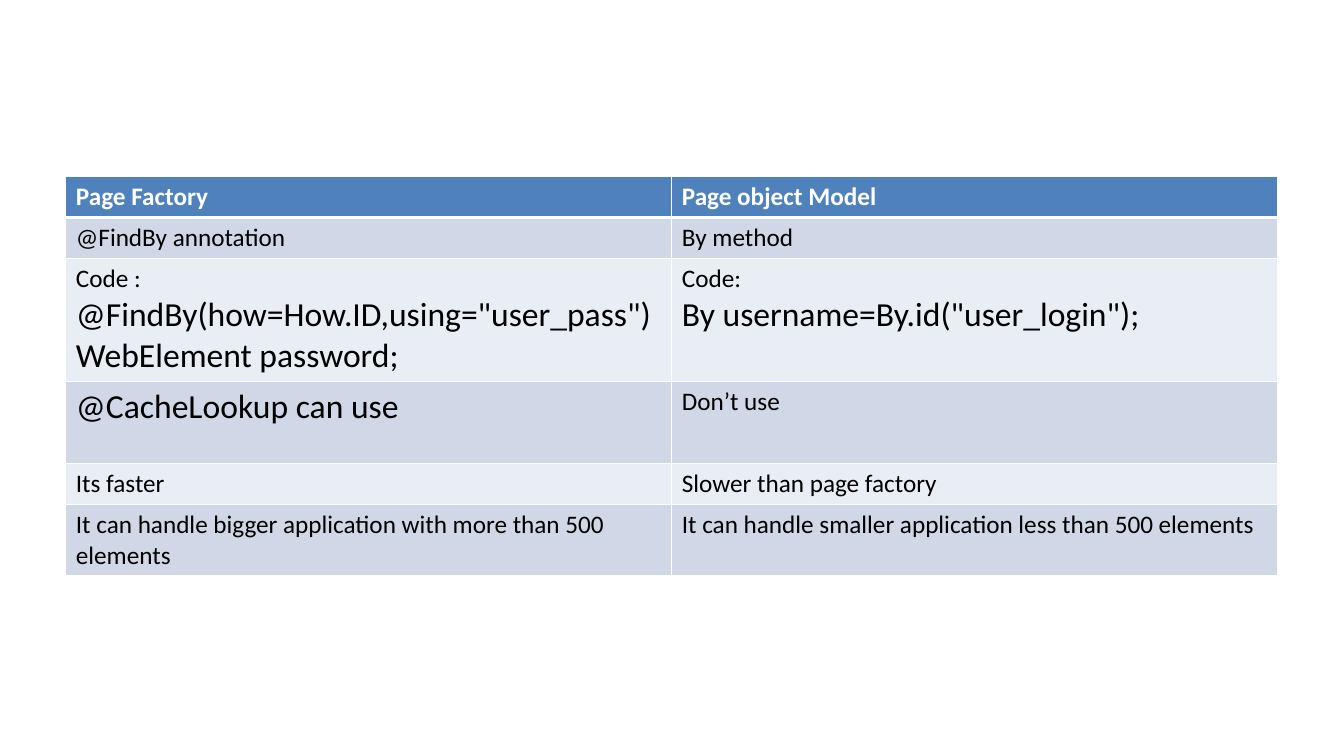
from lxml import etree
from pptx import Presentation
from pptx import util as u
from pptx.dml.color import RGBColor
from pptx.oxml.ns import qn

Cm, Pt = u.Cm, u.Pt
COLORS = {
    "header": "4F81BD",
    "band_dark": "D0D8E8",
    "band_light": "E9EDF4",
    "border": "FFFFFF",
    "header_text": "FFFFFF",
    "body_text": "000000",
}
BODY, LARGE = 18, 24

# Each cell is a list of paragraphs, each paragraph a list of (text, size) runs.
ROWS = [
    ([[("Page Factory", BODY)]], [[("Page object Model", BODY)]]),
    ([[("@FindBy annotation", BODY)]], [[("By method", BODY)]]),
    (
        [
            [("Code : ", BODY), ('@FindBy(how=How.ID,using="user_pass")', LARGE)],
            [("WebElement password;", LARGE)],
        ],
        [[("Code:", BODY)], [('By username=By.id("user_login");', LARGE)]],
    ),
    ([[("@CacheLookup can use", LARGE)]], [[("Don’t use", BODY)]]),
    ([[("Its faster", BODY)]], [[("Slower than page factory", BODY)]]),
    (
        [[("It can handle bigger application with more than 500 elements", BODY)]],
        [[("It can handle smaller application less than 500 elements", BODY)]],
    ),
]
ROW_HEIGHTS = [1.03, 1.03, 3.1, 2.07, 1.03, 1.78]
COLUMN_WIDTH = 15.27


def add_run(paragraph, text, size=BODY, color="body_text", bold=False):
    run = paragraph.add_run()
    run.text = text
    run.font.name = "Calibri"
    run.font.size = Pt(size)
    run.font.bold = bold
    run.font.color.rgb = RGBColor.from_string(COLORS[color])


def set_border(cell, side, width):
    """Add one cell edge; call in the order L, R, T, B and before the fill."""
    properties = cell._tc.get_or_add_tcPr()
    line = etree.SubElement(properties, qn(f"a:ln{side}"), w=str(Pt(width)))
    fill = etree.SubElement(line, qn("a:solidFill"))
    etree.SubElement(fill, qn("a:srgbClr"), val=COLORS["border"])


presentation = Presentation()
presentation.slide_width = Cm(33.87)
presentation.slide_height = Cm(19.05)
slide = presentation.slides.add_slide(presentation.slide_layouts[6])

table = slide.shapes.add_table(
    len(ROWS), 2, Cm(1.66), Cm(4.45), Cm(2 * COLUMN_WIDTH), Cm(sum(ROW_HEIGHTS))
).table
for column in table.columns:
    column.width = Cm(COLUMN_WIDTH)

for row_index, (row, height) in enumerate(zip(ROWS, ROW_HEIGHTS)):
    table.rows[row_index].height = Cm(height)
    is_header = row_index == 0
    if is_header:
        fill_color = "header"
    else:
        fill_color = "band_dark" if row_index % 2 else "band_light"

    for column_index, paragraphs in enumerate(row):
        cell = table.cell(row_index, column_index)
        top_width = 3 if row_index == 1 else 1
        bottom_width = 3 if is_header else 1
        for side, width in zip("LRTB", (1, 1, top_width, bottom_width)):
            set_border(cell, side, width)
        cell.fill.solid()
        cell.fill.fore_color.rgb = RGBColor.from_string(COLORS[fill_color])

        frame = cell.text_frame
        for paragraph_index, runs in enumerate(paragraphs):
            paragraph = frame.add_paragraph() if paragraph_index else frame.paragraphs[0]
            for text, size in runs:
                add_run(
                    paragraph,
                    text,
                    size=size,
                    color="header_text" if is_header else "body_text",
                    bold=is_header,
                )

presentation.save("out.pptx")
